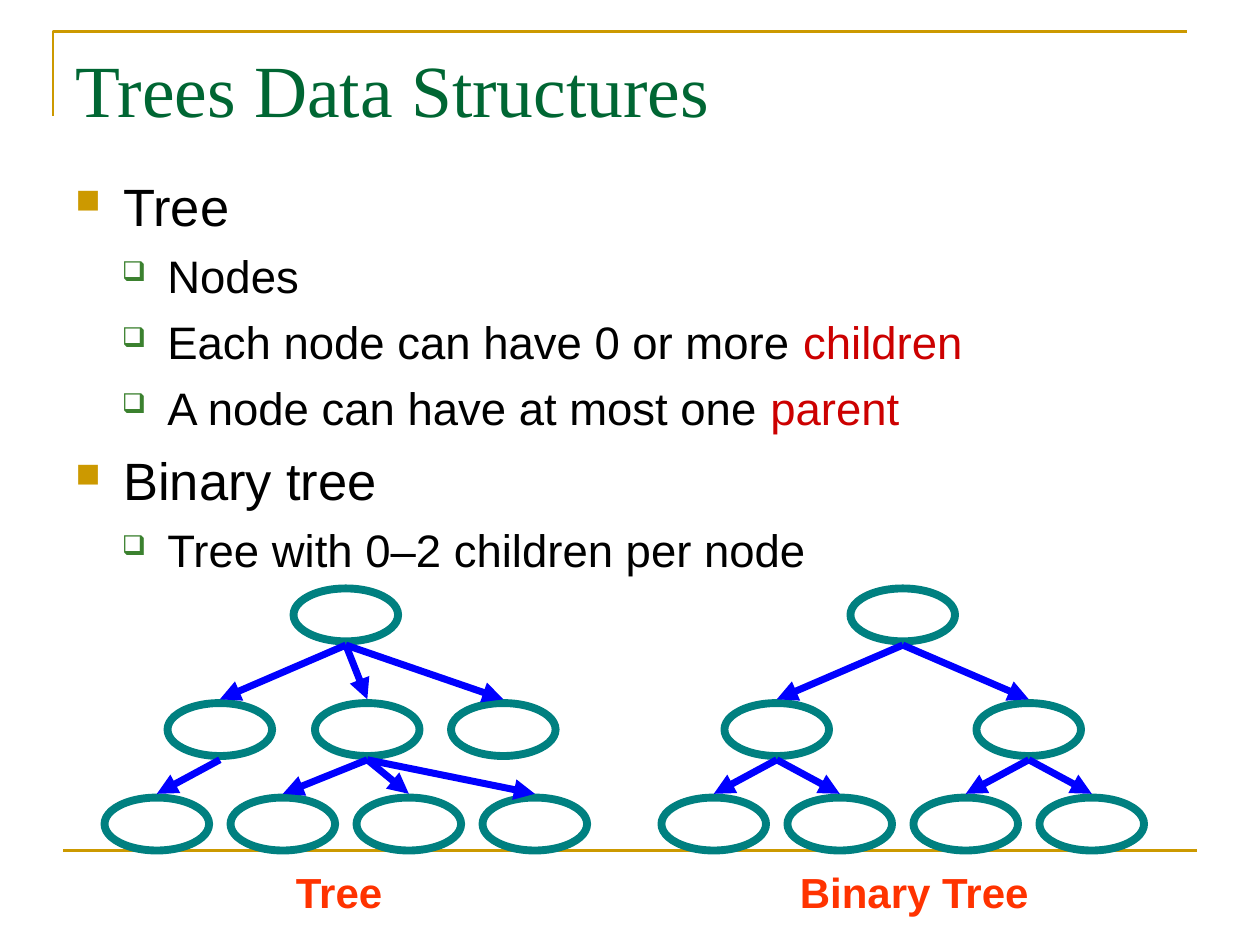
from dataclasses import dataclass

from lxml import etree
from pptx import Presentation
from pptx import util as u
from pptx.dml import color
from pptx.enum import shapes, text
from pptx.oxml import ns


@dataclass(frozen=True)
class Theme:
    gold: str = "CC9900"
    title: str = "006633"
    body: str = "000000"
    accent: str = "CC0000"
    bullet: str = "3B812F"
    node: str = "008080"
    arrow: str = "0000FF"
    caption: str = "FF3300"
    serif: str = "Times New Roman"
    sans: str = "Arial"
    title_size: float = 42
    caption_size: float = 24
    rule_width: float = 1.5
    node_width: float = 4.5
    arrow_width: float = 4


@dataclass(frozen=True)
class Level:
    size: float
    margin: float
    indent: float
    before: float
    bullet: str
    bullet_color: str
    bullet_scale: int


@dataclass(frozen=True)
class Item:
    level: int
    words: str
    highlight: str = ""


@dataclass(frozen=True)
class Tree:
    caption: str
    caption_left: float
    caption_width: float
    rows: tuple
    edges: tuple


THEME = Theme()
LEVELS = (
    Level(30, 0.38, -0.38, 7.5, "■", THEME.gold, 65),
    Level(26, 0.73, -0.36, 6.5, "❑", THEME.bullet, 60),
)
ITEMS = (
    Item(0, "Tree"),
    Item(1, "Nodes"),
    Item(1, "Each node can have 0 or more ", "children"),
    Item(1, "A node can have at most one ", "parent"),
    Item(0, "Binary tree"),
    Item(1, "Tree with 0–2 children per node"),
)
ROW_TOPS = (4.67, 5.58, 6.33)
NODE_WIDTH, NODE_HEIGHT, ARROW_GAP = 0.83, 0.42, 0.03


def leaves(left: float) -> tuple:
    return tuple(left + step for step in range(4))


TREES = (
    Tree("Tree", 2.25, 0.9, ((2.33,), (1.33, 2.5, 3.58), leaves(0.83)),
         (((0, 1, 2),), ((0,), (1, 2, 3), ()))),
    Tree("Binary Tree", 6.25, 2.03, ((6.75,), (5.75, 7.75), leaves(5.25)),
         (((0, 1),), ((0, 1), (2, 3)))),
)


def rgb(value: str) -> color.RGBColor:
    return color.RGBColor.from_string(value)


def apply(target, values: dict) -> None:
    for name, value in values.items():
        setattr(target, name, value)


def style_line(line, hue: str, width: float) -> None:
    line.color.rgb = rgb(hue)
    line.width = u.Pt(width)


def add_span(para, words: str, hue: str, **font) -> None:
    span = para.add_run()
    span.text = words
    apply(span.font, font)
    span.font.color.rgb = rgb(hue)


def add_box(page, left: float, top: float, width: float, height: float, wrap: bool = True):
    box = page.shapes.add_textbox(*map(u.Inches, (left, top, width, height)))
    apply(box.text_frame, {
        "word_wrap": wrap,
        "vertical_anchor": text.MSO_ANCHOR.TOP,
        "margin_left": u.Inches(0.1),
        "margin_right": u.Inches(0.1),
        "margin_top": u.Inches(0.05),
        "margin_bottom": u.Inches(0.05),
    })
    return box.text_frame


def add_line(page, start: tuple, end: tuple, hue: str, width: float, arrow: bool = False) -> None:
    line = page.shapes.add_connector(
        shapes.MSO_CONNECTOR.STRAIGHT, *map(u.Inches, (*start, *end)))
    style_line(line.line, hue, width)
    if arrow:
        etree.SubElement(line.line._get_or_add_ln(), ns.qn("a:tailEnd"), type="triangle")
    etree.SubElement(line._element.spPr, ns.qn("a:effectLst"))


def add_frame(page) -> None:
    builder = page.shapes.build_freeform(u.Inches(0.42), u.Inches(0.92))
    corners = [(u.Inches(x), u.Inches(0.25)) for x in (0.42, 9.42)]
    builder.add_line_segments(corners, close=False)
    corner = builder.convert_to_shape()
    corner.shadow.inherit = False
    corner.fill.background()
    style_line(corner.line, THEME.gold, THEME.rule_width)
    add_line(page, (0.5, 6.75), (9.5, 6.75), THEME.gold, THEME.rule_width)


def add_bullet(para, level: Level) -> None:
    props = para._p.get_or_add_pPr()
    props.set("marL", str(u.Inches(level.margin)))
    props.set("indent", str(u.Inches(level.indent)))
    hue = etree.SubElement(props, ns.qn("a:buClr"))
    etree.SubElement(hue, ns.qn("a:srgbClr"), val=level.bullet_color)
    etree.SubElement(props, ns.qn("a:buSzPct"), val=str(level.bullet_scale * 1000))
    etree.SubElement(props, ns.qn("a:buChar"), char=level.bullet)


def add_items(page) -> None:
    frame = add_box(page, 0.5, 1.33, 9, 4.95)
    for index, item in enumerate(ITEMS):
        level = LEVELS[item.level]
        para = frame.paragraphs[0] if index == 0 else frame.add_paragraph()
        para.level = item.level
        add_bullet(para, level)
        para.space_before = u.Pt(level.before if index else 0)
        font = {"size": u.Pt(level.size), "name": THEME.sans}
        add_span(para, item.words, THEME.body, **font)
        if item.highlight:
            add_span(para, item.highlight, THEME.accent, **font)


def add_node(page, left: float, top: float) -> None:
    node = page.shapes.add_shape(
        shapes.MSO_SHAPE.OVAL, *map(u.Inches, (left, top, NODE_WIDTH, NODE_HEIGHT)))
    node.shadow.inherit = False
    node.fill.background()
    style_line(node.line, THEME.node, THEME.node_width)


def add_tree(page, tree: Tree) -> None:
    for top, row in zip(ROW_TOPS, tree.rows):
        for left in row:
            add_node(page, left, top)
    for depth, families in enumerate(tree.edges):
        start_y = ROW_TOPS[depth] + NODE_HEIGHT + ARROW_GAP
        end_y = ROW_TOPS[depth + 1] - ARROW_GAP
        for parent, children in zip(tree.rows[depth], families):
            for child in children:
                start = (parent + NODE_WIDTH / 2, start_y)
                end = (tree.rows[depth + 1][child] + NODE_WIDTH / 2, end_y)
                add_line(page, start, end, THEME.arrow, THEME.arrow_width, arrow=True)
    frame = add_box(page, tree.caption_left, 6.83, tree.caption_width, 0.5, wrap=False)
    add_span(frame.paragraphs[0], tree.caption, THEME.caption,
             size=u.Pt(THEME.caption_size), name=THEME.sans, bold=True)


def main() -> None:
    deck = Presentation()
    apply(deck, {"slide_width": u.Inches(10), "slide_height": u.Inches(7.5)})
    page = deck.slides.add_slide(deck.slide_layouts[6])
    add_frame(page)
    title = add_box(page, 0.5, 0.3, 9, 1.25)
    add_span(title.paragraphs[0], "Trees Data Structures", THEME.title,
             size=u.Pt(THEME.title_size), name=THEME.serif)
    add_items(page)
    for tree in reversed(TREES):
        add_tree(page, tree)
    deck.save("out.pptx")


if __name__ == "__main__":
    main()
